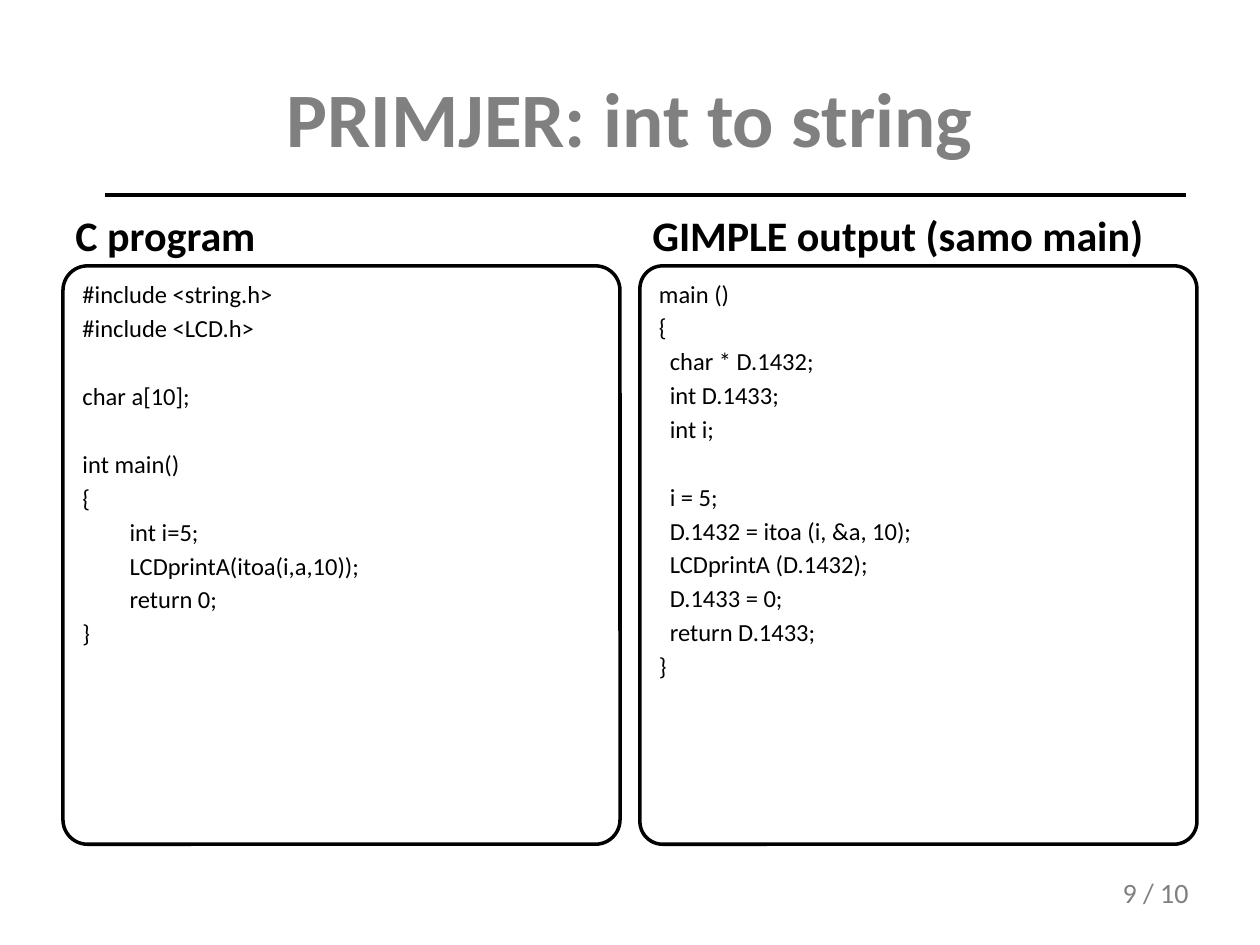
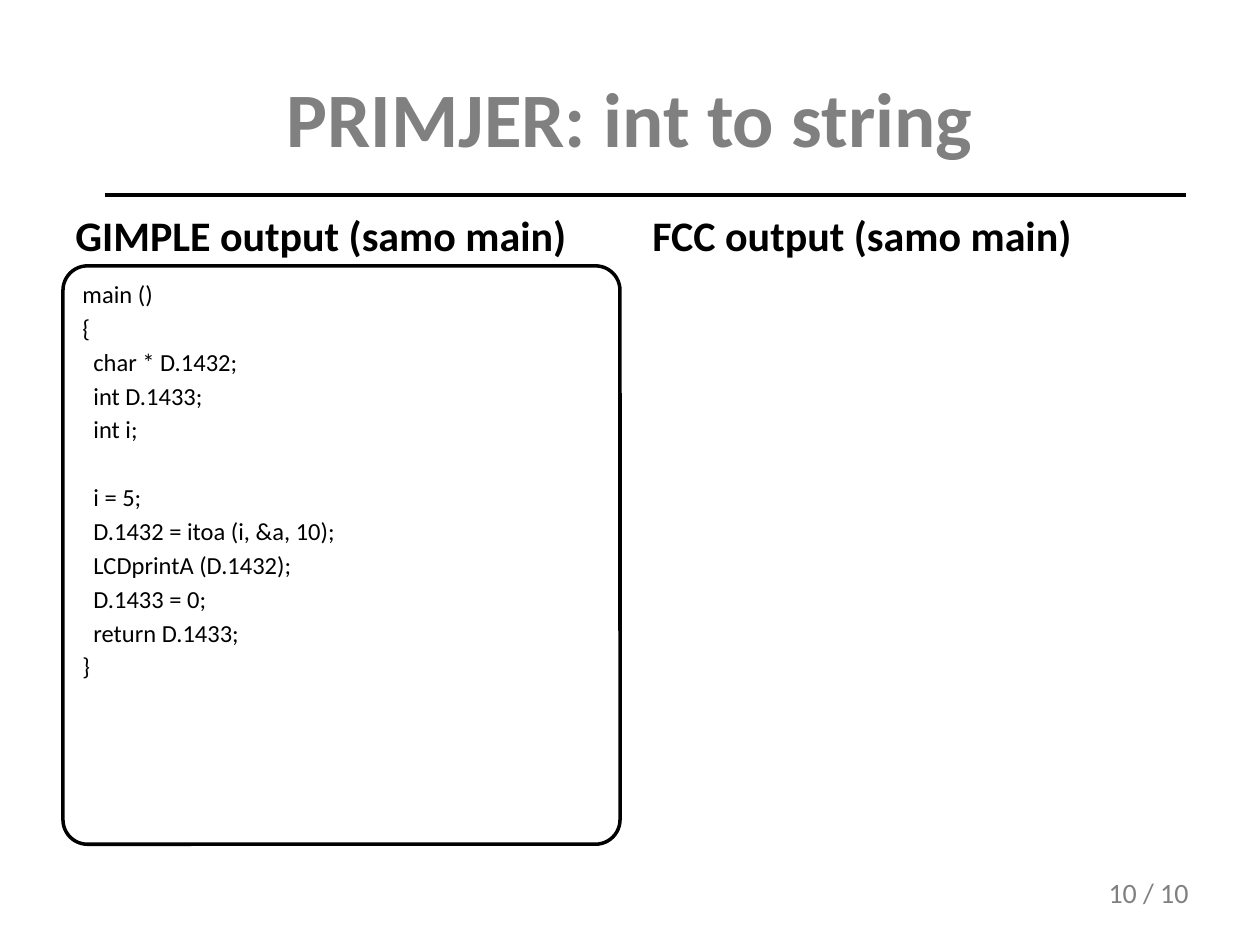
import pptx
import pptx.dml.color
import pptx.enum.shapes
import pptx.enum.text
import pptx.oxml.ns
import pptx.util
from lxml import etree

Cm = pptx.util.Cm
Pt = pptx.util.Pt
ALIGN = pptx.enum.text.PP_ALIGN
ANCHOR = pptx.enum.text.MSO_ANCHOR

COLORS = {"ink": "000000", "gray": "808080"}
FONT = "Calibri"
TITLE = "PRIMJER: int to string"
TOTAL = 10
LEFTS = (1.27, 12.9)
WIDTH = 11.23
ROUND = (0.044, 0.041)
CODE_GAP = 2.5
BLANK_GAP = 22.1

C_CODE = [
    "#include <string.h>",
    "#include <LCD.h>",
    "",
    "char a[10];",
    "",
    "int main()",
    "{",
    "\tint i=5;",
    "\tLCDprintA(itoa(i,a,10));",
    "\treturn 0;",
    "}",
]
GIMPLE_CODE = [
    "main ()",
    "{",
    "\tchar * D.1432;",
    "\tint D.1433;",
    "\tint i;",
    "",
    "\ti = 5;",
    "\tD.1432 = itoa (i, &a, 10);",
    "\tLCDprintA (D.1432);",
    "\tD.1433 = 0;",
    "\treturn D.1433;",
    "}",
]
C_PANEL = ("C program", C_CODE, 0.95)
GIMPLE_PANEL = ("GIMPLE output (samo main)", GIMPLE_CODE, 0.22)
FCC_PANEL = ("FCC output (samo main)", [], 0)
PAGES = {9: (C_PANEL, GIMPLE_PANEL), 10: (GIMPLE_PANEL, FCC_PANEL)}


def rgb(name):
    """Return the named colour."""
    return pptx.dml.color.RGBColor.from_string(COLORS[name])


def add_run(para, text, size, color="ink", bold=False):
    """Add one styled run to a paragraph."""
    run = para.add_run()
    run.text = text
    font = run.font
    font.name, font.size, font.bold = FONT, Pt(size), bold
    font.color.rgb = rgb(color)


def add_label(slide, box, text, size, color="ink", bold=False,
              align=ALIGN.LEFT, anchor=ANCHOR.TOP):
    """Add a text box that holds one line."""
    frame = slide.shapes.add_textbox(*map(Cm, box)).text_frame
    frame.word_wrap = True
    frame.vertical_anchor = anchor
    para = frame.paragraphs[0]
    para.alignment = align
    add_run(para, text, size, color, bold)


def add_code(slide, left, curve, lines, step):
    """Add a rounded box with a code listing."""
    box = slide.shapes.add_shape(
        pptx.enum.shapes.MSO_SHAPE.ROUNDED_RECTANGLE,
        Cm(left), Cm(5.36), Cm(WIDTH), Cm(11.66))
    box.adjustments[0] = curve
    box.shadow.inherit = False
    box.fill.background()
    box.line.color.rgb = rgb("ink")
    box.line.width = Pt(2)
    frame = box.text_frame
    frame.word_wrap = True
    frame.vertical_anchor = ANCHOR.TOP
    para, gap = frame.paragraphs[0], 0
    for line in lines:
        if not line:
            gap = BLANK_GAP
            continue
        if para.runs:
            para = frame.add_paragraph()
        para.alignment = ALIGN.LEFT
        para.space_before = Pt(gap)
        if line.startswith("\t"):
            para._p.get_or_add_pPr().set("marL", str(int(Cm(step))))
        add_run(para, line.strip(), 14)
        gap = CODE_GAP


def add_rule(slide):
    """Add the line below the title."""
    rule = slide.shapes.add_connector(
        pptx.enum.shapes.MSO_CONNECTOR.STRAIGHT,
        Cm(2.11), Cm(3.93), Cm(23.9), Cm(3.93))
    rule.line.color.rgb = rgb("ink")
    rule.line.width = Pt(2)
    etree.SubElement(rule._element.spPr, pptx.oxml.ns.qn("a:effectLst"))


def add_page(deck, number, panels):
    """Add a slide with its title, two panels and page number."""
    slide = deck.slides.add_slide(deck.slide_layouts[6])
    add_label(slide, (20.45, 17.53, 3.76, 0.94), f"{number} / {TOTAL}", 16,
              "gray", align=ALIGN.RIGHT)
    add_label(slide, (1.27, 0.76, 22.86, 3.18), TITLE, 44, "gray", True,
              ALIGN.CENTER, ANCHOR.MIDDLE)
    for left, curve, (head, lines, step) in zip(LEFTS, ROUND, panels):
        add_label(slide, (left, 4.27, WIDTH, 1.09), head, 24, bold=True,
                  anchor=ANCHOR.BOTTOM)
        if lines:
            add_code(slide, left, curve, lines, step)
    add_rule(slide)


def main():
    """Build and save the deck."""
    deck = pptx.Presentation()
    deck.slide_width, deck.slide_height = Cm(25.4), Cm(19.05)
    for number, panels in PAGES.items():
        add_page(deck, number, panels)
    deck.save("out.pptx")


if __name__ == "__main__":
    main()
